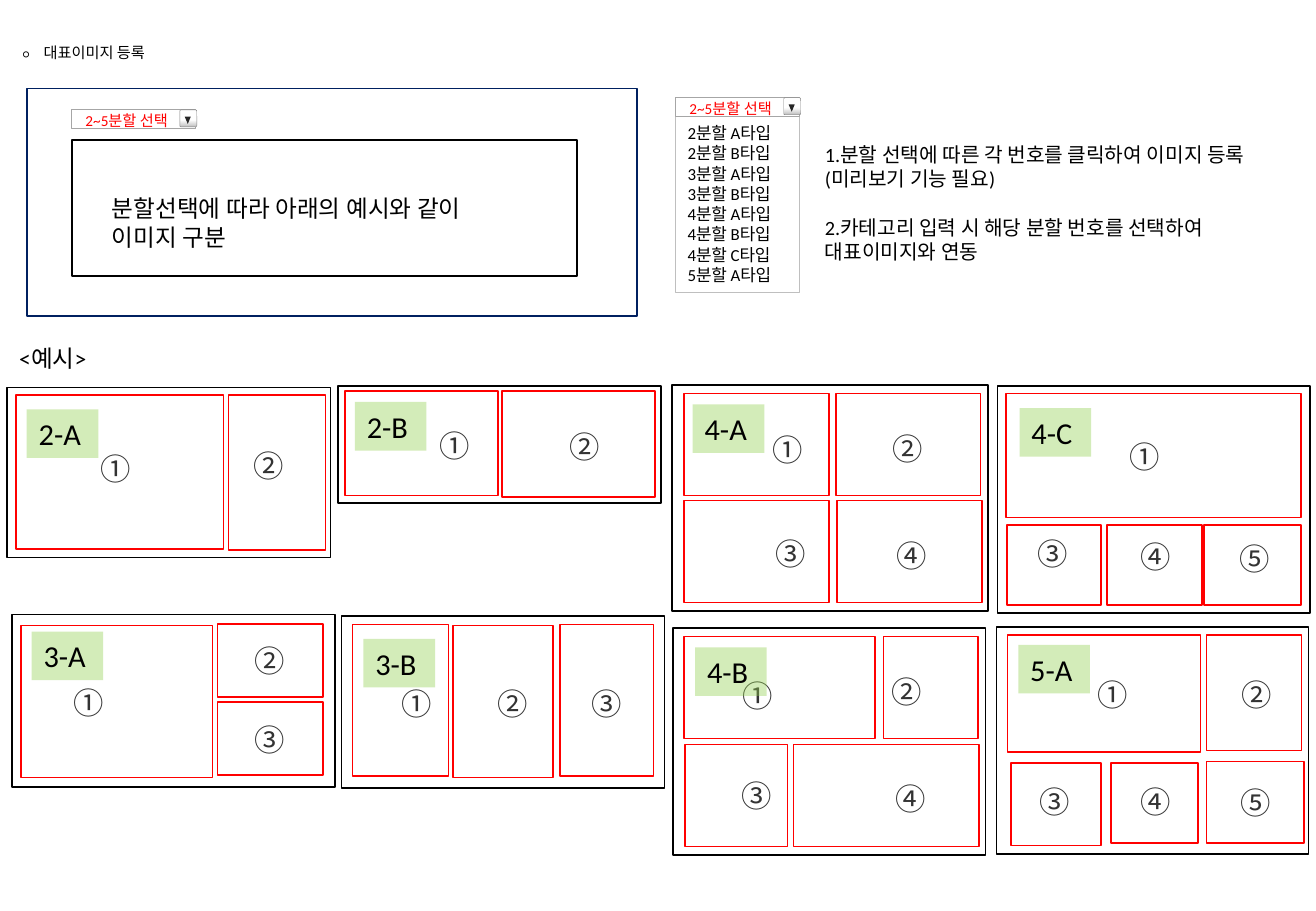
"""Build the slide that explains how split main images are registered."""
from lxml.etree import SubElement
from pptx import Presentation
from pptx.dml.color import RGBColor
from pptx.enum.shapes import MSO_SHAPE
from pptx.enum.text import MSO_ANCHOR, PP_ALIGN
from pptx.oxml.ns import qn
from pptx.util import Inches, Pt

BLACK = RGBColor(0x00, 0x00, 0x00)
WHITE = RGBColor(0xFF, 0xFF, 0xFF)
RED = RGBColor(0xFF, 0x00, 0x00)
NAVY = RGBColor(0x00, 0x20, 0x60)
GREEN = RGBColor(0x92, 0xD0, 0x50)
DARK = RGBColor(0x33, 0x33, 0x33)
ARROW = RGBColor(0x26, 0x26, 0x26)
GRAY = RGBColor(0x80, 0x80, 0x80)
FIELD = RGBColor(0xA6, 0xA6, 0xA6)
SILVER = RGBColor(0xBF, 0xBF, 0xBF)
LATIN, KOREAN = "Calibri", "Noto Sans CJK KR"
UNIT = Inches(0.01)
COLS, ROWS = 1083, 750


def add_box(shapes, at, line=None, fill=None, width=1, kind=MSO_SHAPE.RECTANGLE):
    """Add a preset shape placed in grid units."""
    sp = shapes.add_shape(kind, *[UNIT * v for v in at])
    sp.shadow.inherit = False
    if fill is None:
        sp.fill.background()
    else:
        sp.fill.solid()
        sp.fill.fore_color.rgb = fill
    if line is None:
        sp.line.fill.background()
    else:
        sp.line.color.rgb = line
        sp.line.width = Pt(width)
    return sp


def add_text(shapes, at, text, size, color=BLACK, font=LATIN, sp=None):
    """Write text into a shape, or into a new text box placed in grid units."""
    sp = sp or shapes.add_textbox(*[UNIT * v for v in at])
    tf = sp.text_frame
    tf.text = text
    tf.word_wrap = True
    tf.vertical_anchor = MSO_ANCHOR.TOP
    for p in tf.paragraphs:
        p.alignment = PP_ALIGN.LEFT
        for r in p.runs:
            r.font.size = Pt(size)
            r.font.name = font
            r.font.color.rgb = color
            SubElement(r.font._element, qn("a:ea"), typeface=font)
    return tf


prs = Presentation()
prs.slide_width, prs.slide_height = UNIT * COLS, UNIT * ROWS
s = prs.slides.add_slide(prs.slide_layouts[6])

tf = add_text(s.shapes, (669, 112, 401, 111),
              "1.분할 선택에 따른 각 번호를 클릭하여 이미지 등록\n(미리보기 기능 필요)\n"
              "2.카테고리 입력 시 해당 분할 번호를 선택하여\n대표이미지와 연동", 12)
tf.paragraphs[2].space_before = Pt(14.6)

add_box(s.shapes, (22, 73, 502, 187), NAVY)
add_box(s.shapes, (59, 115, 416, 112), BLACK)
add_text(s.shapes, (82, 155, 432, 57), "분할선택에 따라 아래의 예시와 같이\n이미지 구분", 14)

p = add_text(s.shapes, (9, 31, 183, 25), "○", 7).paragraphs[0]
tabs = SubElement(p._p.get_or_add_pPr(), qn("a:tabLst"))
SubElement(tabs, qn("a:tab"), pos=str(UNIT * 17), algn="l")
r = p.add_run()
r.text = "\t대표이미지 등록"
r.font.size, r.font.name = Pt(9), LATIN
r.font.color.rgb = BLACK
SubElement(r.font._element, qn("a:ea"), typeface=LATIN)

add_text(s.shapes, (6, 278, 303, 34), "<예시>", 14)

types = ("2분할 A", "2분할 B", "3분할 A", "3분할 B", "4분할 A", "4분할 B", "4분할 C", "5분할 A")
at = (556, 96, 102, 145)
add_text(s.shapes, at, "\n".join(t + "타입" for t in types), 10,
         sp=add_box(s.shapes, at, SILVER, width=0.75))

for x, y in ((59, 90), (556, 80)):
    dropdown = s.shapes.add_group_shape().shapes
    add_box(dropdown, (x, y, 102, 16), FIELD, WHITE, 0.25)
    button = add_box(dropdown, (x + 89, y + 0.5, 14, 14), GRAY, WHITE, 0.25,
                     MSO_SHAPE.ROUNDED_RECTANGLE)
    button.adjustments[0] = 0.08
    button.fill.gradient()
    button.fill.gradient_angle = 270
    for stop, place, color in zip(button.fill.gradient_stops, (0.59, 1), (WHITE, SILVER)):
        stop.position = place
        stop.color.rgb = color
    arrow = add_box(dropdown, (x + 93, y + 6, 5, 6), fill=ARROW,
                    kind=MSO_SHAPE.ISOSCELES_TRIANGLE)
    arrow.rotation = 180
    add_text(dropdown, (x + 1.5, y - 3.5, 138, 25), "2~5분할 선택", 9, RED)

panels = (
    ("2-A", (22, 337), (6, 319, 266, 140),
     ((13, 325, 171, 127), (188, 325, 80, 128)),
     (("①", 73, 366), ("②", 199, 363))),
    ("2-B", (292, 331), (278, 318, 266, 96),
     ((284, 322, 126, 86), (413, 322, 126, 87)),
     (("①", 352, 347), ("②", 459, 348))),
    ("3-A", (26, 520), (10, 506, 266, 142),
     ((17, 515, 158, 125), (179, 514, 87, 60), (179, 578, 87, 60)),
     (("①", 51, 558), ("②", 200, 524), ("③", 200, 589))),
    ("3-B", (299, 526), (281, 507, 266, 142),
     ((290, 514, 79, 125), (373, 515, 82, 125), (461, 514, 77, 125)),
     (("①", 321, 559), ("②", 400, 559), ("③", 477, 559))),
    ("4-A", (570, 333), (553, 317, 260, 186),
     ((563, 324, 119, 84), (688, 324, 119, 84), (563, 412, 119, 84), (689, 412, 119, 84)),
     (("①", 626, 350), ("②", 725, 349), ("③", 628, 436), ("④", 728, 437))),
    ("4-B", (572, 533), (554, 517, 257, 187),
     ((563, 524, 157, 84), (727, 524, 78, 84), (564, 613, 84, 84), (653, 613, 153, 84)),
     (("①", 601, 553), ("②", 724, 549), ("③", 600, 635), ("④", 727, 637))),
    ("5-A", (838, 531), (820, 516, 257, 187),
     ((829, 523, 159, 96), (993, 523, 78, 95), (832, 628, 74, 68), (914, 628, 72, 66),
      (993, 627, 80, 67)),
     (("①", 893, 552), ("②", 1012, 552), ("③", 846, 640), ("④", 929, 640), ("⑤", 1011, 641))),
    ("4-C", (839, 336), (821, 318, 257, 187),
     ((828, 324, 243, 102), (829, 432, 77, 66), (911, 432, 78, 66), (991, 432, 80, 66)),
     (("①", 920, 356), ("③", 844, 436), ("④", 929, 438), ("⑤", 1010, 440))),
)
for name, corner, frame, cells, marks in panels:
    panel = s.shapes.add_group_shape().shapes
    add_box(panel, frame, BLACK)
    for cell in cells:
        add_box(panel, cell, RED)
    for mark, x, y in marks:
        add_text(panel, (x, y, 30, 40), mark, 18, DARK, KOREAN)
    label = add_box(panel, (*corner, 59, 40), fill=GREEN)
    color = label._element.spPr.find(qn("a:solidFill")).find(qn("a:srgbClr"))
    SubElement(color, qn("a:alpha"), val="40000")
    add_text(panel, corner, name, 18, sp=label)

prs.save("out.pptx")
